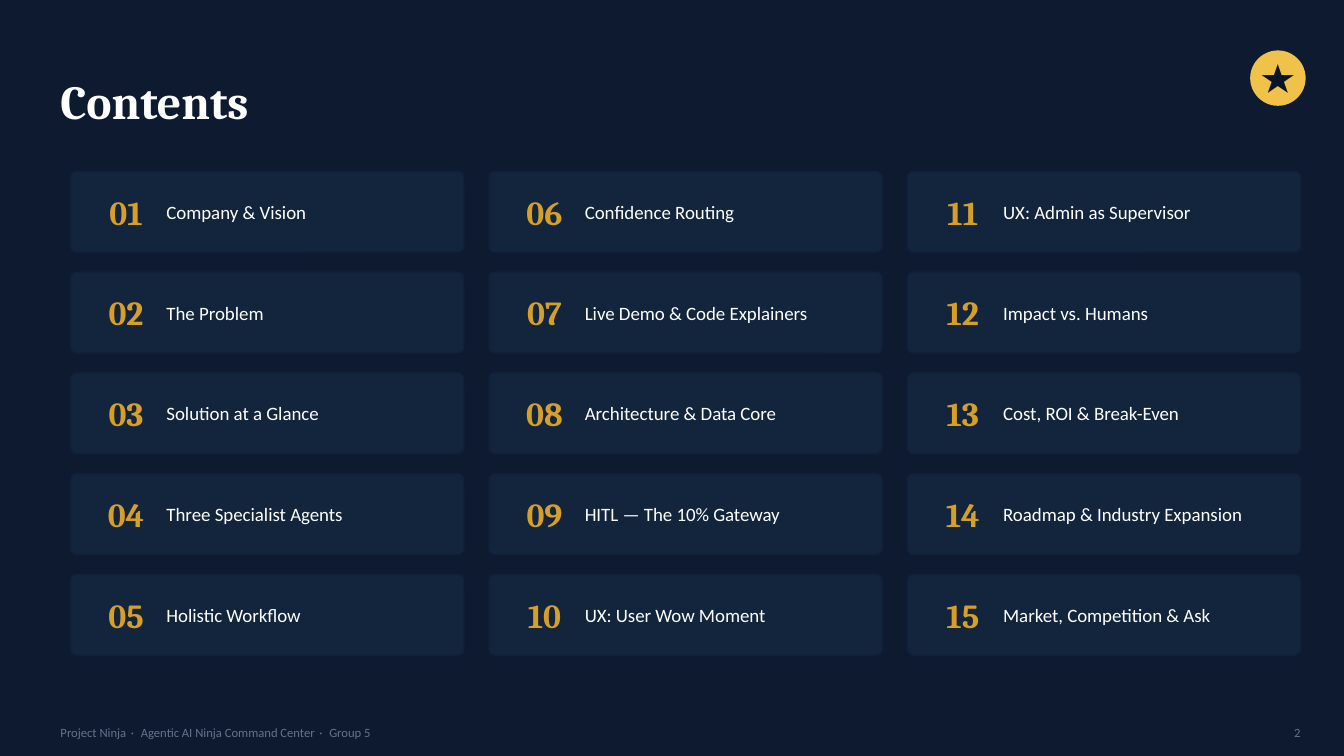
from dataclasses import dataclass

from lxml import etree
from pptx import Presentation
from pptx.dml.color import RGBColor
from pptx.enum.shapes import MSO_SHAPE
from pptx.enum.text import MSO_ANCHOR, PP_ALIGN
from pptx.oxml.ns import qn
from pptx.util import Inches, Pt


@dataclass(frozen=True)
class Style:
    size: float
    font: str
    color: str
    bold: bool = False


@dataclass(frozen=True)
class Theme:
    background: str = "0A1628"
    veil: str = "12203A"
    card: str = "13243D"
    badge: str = "F0C24A"
    title: Style = Style(34, "Cambria", "FFFFFF", True)
    star: Style = Style(25.3, "Cambria", "0A1628", True)
    number: Style = Style(24, "Cambria", "D6A028", True)
    topic: Style = Style(13.5, "Calibri", "FFFFFF")
    footer: Style = Style(9, "Calibri", "64748B")


THEME = Theme()
SLIDE_W, SLIDE_H = Inches(13.33), Inches(7.5)
ROWS = 5
CARD_LEFT, CARD_TOP = 5.25, 22.67
CARD_W, CARD_H = 29.26, 10.67
COLUMN_STEP, ROW_STEP = 31.13, 13.33
NUMBER_INSET, NUMBER_W, TOPIC_W = 1.13, 6, 21.38

TOPICS = [
    "Company & Vision", "The Problem", "Solution at a Glance",
    "Three Specialist Agents", "Holistic Workflow",
    "Confidence Routing", "Live Demo & Code Explainers",
    "Architecture & Data Core", "HITL — The 10% Gateway",
    "UX: User Wow Moment",
    "UX: Admin as Supervisor", "Impact vs. Humans",
    "Cost, ROI & Break-Even", "Roadmap & Industry Expansion",
    "Market, Competition & Ask",
]
FOOTER = ["Project Ninja", "Agentic AI Ninja Command Center", "Group 5"]


def percent_box(left, top, width, height):
    return (round(SLIDE_W * left / 100), round(SLIDE_H * top / 100),
            round(SLIDE_W * width / 100), round(SLIDE_H * height / 100))


def add_panel(slide, kind, box, fill, line=None, opacity=None):
    panel = slide.shapes.add_shape(kind, *percent_box(*box))
    panel.shadow.inherit = False
    panel.fill.solid()
    panel.fill.fore_color.rgb = RGBColor.from_string(fill)
    if line:
        panel.line.color.rgb = RGBColor.from_string(line)
        panel.line.width = Pt(1)
    else:
        panel.line.fill.background()
    if opacity:
        color = panel.fill._xPr.find(".//" + qn("a:srgbClr"))
        etree.SubElement(color, qn("a:alpha")).set("val", str(opacity * 1000))
    return panel


def add_run(paragraph, text, style):
    run = paragraph.add_run()
    run.text = text
    run.font.size = Pt(style.size)
    run.font.name = style.font
    run.font.bold = style.bold
    run.font.color.rgb = RGBColor.from_string(style.color)
    return run


def add_label(slide, box, text, style, align=PP_ALIGN.LEFT, inset=False):
    frame = slide.shapes.add_textbox(*percent_box(*box)).text_frame
    frame.word_wrap = True
    frame.vertical_anchor = MSO_ANCHOR.MIDDLE
    if not inset:
        frame.margin_left = frame.margin_right = 0
        frame.margin_top = frame.margin_bottom = 0
    paragraph = frame.paragraphs[0]
    paragraph.alignment = align
    if text:
        add_run(paragraph, text, style)
    return paragraph


def add_badge(slide):
    add_panel(slide, MSO_SHAPE.OVAL, (93.02, 6.67, 4.13, 7.33), THEME.badge)
    add_label(slide, (93.02, 6.4, 4.13, 7.33), "★", THEME.star,
              PP_ALIGN.CENTER, inset=True)


def add_topic_card(slide, index, topic):
    column, row = divmod(index, ROWS)
    left = CARD_LEFT + column * COLUMN_STEP
    top = CARD_TOP + row * ROW_STEP
    card = add_panel(slide, MSO_SHAPE.ROUNDED_RECTANGLE,
                     (left, top, CARD_W, CARD_H), THEME.card, THEME.veil)
    card.adjustments[0] = 0.075
    number_left = left + NUMBER_INSET
    add_label(slide, (number_left, top, NUMBER_W, CARD_H),
              f"{index + 1:02d}", THEME.number, PP_ALIGN.CENTER)
    add_label(slide, (number_left + NUMBER_W, top, TOPIC_W, CARD_H),
              topic, THEME.topic)


def add_footer(slide):
    paragraph = add_label(slide, (4.5, 94.93, 67.52, 4), "", THEME.footer)
    for position, part in enumerate(FOOTER):
        if position:
            separator = add_run(paragraph, " · ", THEME.footer)
            separator.font._element.set("spc", "135")
        add_run(paragraph, part, THEME.footer)
    add_label(slide, (93.77, 94.93, 3, 4), "2", THEME.footer, PP_ALIGN.RIGHT)


def main():
    deck = Presentation()
    deck.slide_width, deck.slide_height = SLIDE_W, SLIDE_H
    slide = deck.slides.add_slide(deck.slide_layouts[6])
    slide.background.fill.solid()
    slide.background.fill.fore_color.rgb = RGBColor.from_string(THEME.background)
    add_panel(slide, MSO_SHAPE.RECTANGLE, (0, 0, 100, 100), THEME.veil, opacity=45)
    add_label(slide, (4.5, 7.33, 86.27, 12), "Contents", THEME.title)
    add_badge(slide)
    for index, topic in enumerate(TOPICS):
        add_topic_card(slide, index, topic)
    add_footer(slide)
    deck.save("out.pptx")


main()
